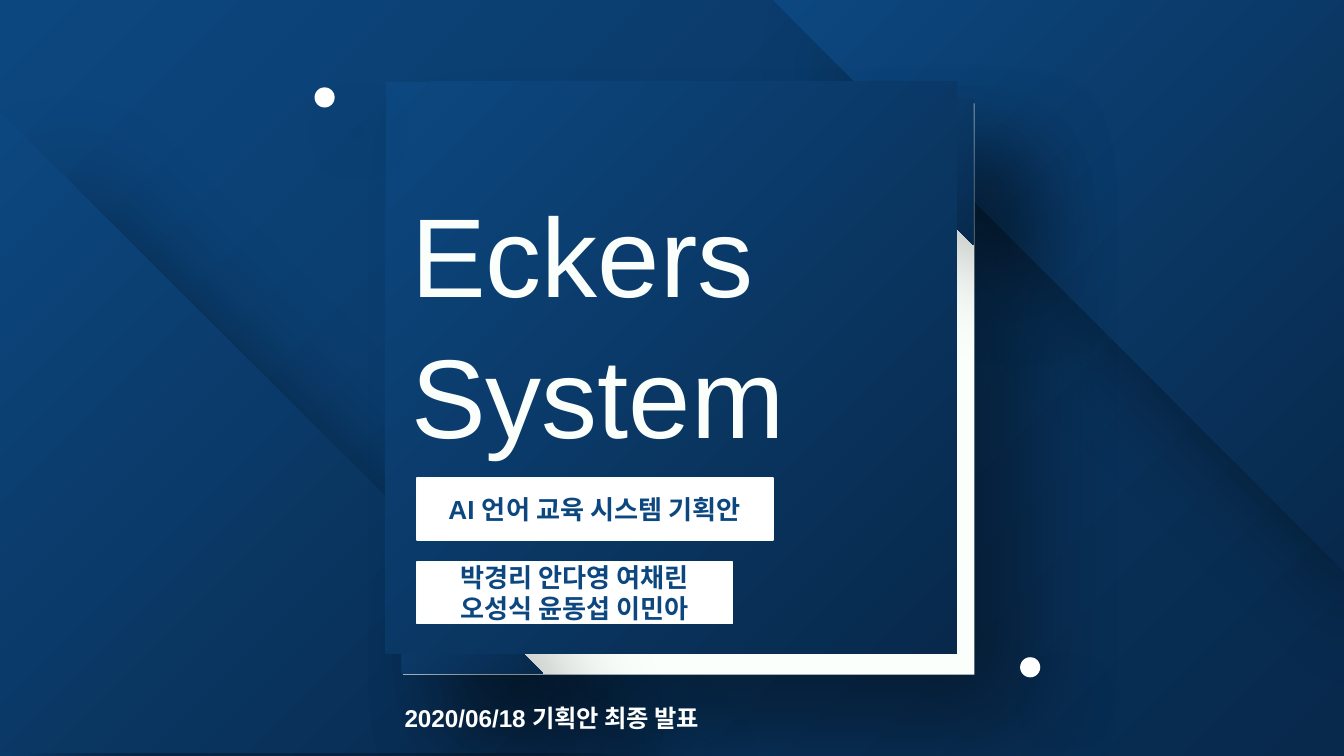
from dataclasses import dataclass

from lxml.etree import SubElement
from pptx import Presentation
from pptx.dml.color import RGBColor
from pptx.enum.shapes import MSO_SHAPE as Preset
from pptx.enum.text import MSO_ANCHOR as Anchor, PP_ALIGN as Align
from pptx.oxml.ns import qn
from pptx.util import Inches, Pt

CELL = Inches(0.1)


@dataclass(frozen=True)
class Theme:
    """Colours, type sizes and shadows of the deck."""
    font: str = "Arial"
    dark: str = "08294C"
    blue: str = "0C477F"
    ivory: str = "FBFFFB"
    white: str = "FFFFFF"
    title_size: int = 60
    label_size: int = 14
    date_size: int = 13
    deep_shadow: tuple = (39, 53, 41)
    soft_shadow: tuple = (17, 30, 26)


@dataclass(frozen=True)
class Box:
    """An area in grid cells, a hundred of which span the slide."""
    left: float
    top: float
    width: float
    height: float

    def inside(self, left, top, width, height):
        """Return a box placed relative to this one."""
        return Box(self.left + left, self.top + top, width, height)

    def lengths(self):
        """Return left, top, width and height as slide lengths."""
        sides = (self.left, self.top, self.width, self.height)
        return [round(side * CELL) for side in sides]


THEME = Theme()


def paint_gradient(fill, owner):
    """Fill with the radial gradient that is light at the top left."""
    fill.gradient()
    for stop, color in zip(fill.gradient_stops, (THEME.dark, THEME.blue)):
        stop.color.rgb = RGBColor.from_string(color)
    gradient = owner.xpath(".//a:gradFill")[0]
    gradient.set("rotWithShape", "0")
    gradient.remove(gradient.find(qn("a:lin")))
    radial = SubElement(gradient, qn("a:path"), {"path": "circle"})
    SubElement(radial, qn("a:fillToRect"), {"l": "100000", "t": "100000"})


def cast_shadow(shape, opacity, blur, distance):
    """Add a black shadow towards the bottom right."""
    effects = shape._element.spPr.find(qn("a:effectLst"))
    shadow = SubElement(effects, qn("a:outerShdw"), {
        "blurRad": str(Pt(blur)), "dist": str(Pt(distance)),
        "dir": "2700000", "algn": "tl", "rotWithShape": "0"})
    black = SubElement(shadow, qn("a:srgbClr"), {"val": "000000"})
    SubElement(black, qn("a:alpha"), {"val": str(opacity * 1000)})


def add_block(shapes, preset, box, color=None, shadow=None, rotation=0):
    """Add a borderless shape, with the gradient if no colour is given."""
    shape = shapes.add_shape(preset, *box.lengths())
    shape.rotation = rotation
    shape.line.fill.background()
    shape.shadow.inherit = False
    if preset in (Preset.ISOSCELES_TRIANGLE, Preset.PLAQUE):
        shape.adjustments[0] = 0
    if color:
        shape.fill.solid()
        shape.fill.fore_color.rgb = RGBColor.from_string(color)
    else:
        paint_gradient(shape.fill, shape._element)
    if shadow:
        cast_shadow(shape, *shadow)
    return shape


def add_corner(shapes, box, rotation=0):
    """Add a shadowed right triangle."""
    add_block(shapes, Preset.ISOSCELES_TRIANGLE, box, None,
              THEME.deep_shadow, rotation)


def write(shape, text, size, color, align, bold=True, spacing=1, insets=(0, 0)):
    """Set the text of a shape and format its paragraphs."""
    frame = shape.text_frame
    frame.text = text
    frame.word_wrap = True
    frame.vertical_anchor = Anchor.MIDDLE
    frame.margin_left = frame.margin_right = Inches(insets[0])
    frame.margin_top = frame.margin_bottom = Inches(insets[1])
    for paragraph in frame.paragraphs:
        paragraph.alignment = align
        paragraph.line_spacing = spacing
        for run in paragraph.runs:
            run.font.name = THEME.font
            run.font.size = Pt(size)
            run.font.bold = bold
            run.font.color.rgb = RGBColor.from_string(color)


def add_backdrop(slide, area):
    """Paint the background and its two folded corners."""
    paint_gradient(slide.background.fill, slide._element)
    side = 42.5
    add_corner(slide.shapes, area.inside(area.width - side, 0, side, side), 180)
    add_corner(slide.shapes, area.inside(0, 8.3, 47.7, 47.7))


def add_panel(slide, panel):
    """Draw the square panel over its folded ivory sheet."""
    sheet = slide.shapes.add_group_shape().shapes
    add_block(sheet, Preset.RECTANGLE,
              panel.inside(1.3, 1.6, panel.width, panel.height),
              THEME.ivory, THEME.deep_shadow)
    add_corner(sheet, panel.inside(1.2, 33.5, 10.5, 10.5))
    add_corner(sheet, panel.inside(32.8, 1.2, 10.9, 10.9), 180)
    add_block(slide.shapes, Preset.RECTANGLE, panel)


def add_label(slide, box, text):
    """Add a white label with centred blue text."""
    label = add_block(slide.shapes, Preset.PLAQUE, box, THEME.white)
    label.line.color.rgb = RGBColor.from_string(THEME.ivory)
    label.line.width = Pt(1)
    write(label, text, THEME.label_size, THEME.blue, Align.CENTER,
          insets=(0.15, 0.04))


def add_title(slide, box, text):
    """Move the title placeholder to the front and fill it."""
    title = slide.shapes.title
    slide.shapes._spTree.append(title._element)
    title.left, title.top, title.width, title.height = box.lengths()
    write(title, text, THEME.title_size, THEME.ivory, Align.LEFT,
          bold=False, spacing=1.05, insets=(0.07, 0.04))


def add_date(slide, box, text):
    """Add the date line below the panel."""
    write(slide.shapes.add_textbox(*box.lengths()), text, THEME.date_size,
          THEME.white, Align.JUSTIFY, spacing=1.5)


def add_cover(slide, area):
    """Compose the cover slide."""
    panel = area.inside(28.7, 6.1, 42.5, 42.5)
    add_backdrop(slide, area)
    add_panel(slide, panel)
    add_label(slide, panel.inside(2.3, 29.5, 26.5, 4.6),
              "AI 언어 교육 시스템 기획안")
    add_label(slide, panel.inside(2.3, 35.7, 23.5, 4.6),
              "박경리 안다영 여채린\n오성식 윤동섭 이민아")
    add_date(slide, panel.inside(1.4, 44.8, 42.5, 3.9),
             "2020/06/18 기획안 최종 발표")
    add_title(slide, panel.inside(1.2, 8.2, 40.2, 19), "Eckers\vSystem")
    for left, top in ((47.2, 42.8), (-5.3, 0.4)):
        add_block(slide.shapes, Preset.OVAL, panel.inside(left, top, 1.5, 1.5),
                  THEME.white, THEME.soft_shadow)


def main():
    """Build and save the presentation."""
    presentation = Presentation()
    area = Box(0, 0, 100, 56.25)
    presentation.slide_width, presentation.slide_height = area.lengths()[2:]
    slide = presentation.slides.add_slide(presentation.slide_layouts[5])
    add_cover(slide, area)
    presentation.save("out.pptx")


if __name__ == "__main__":
    main()
